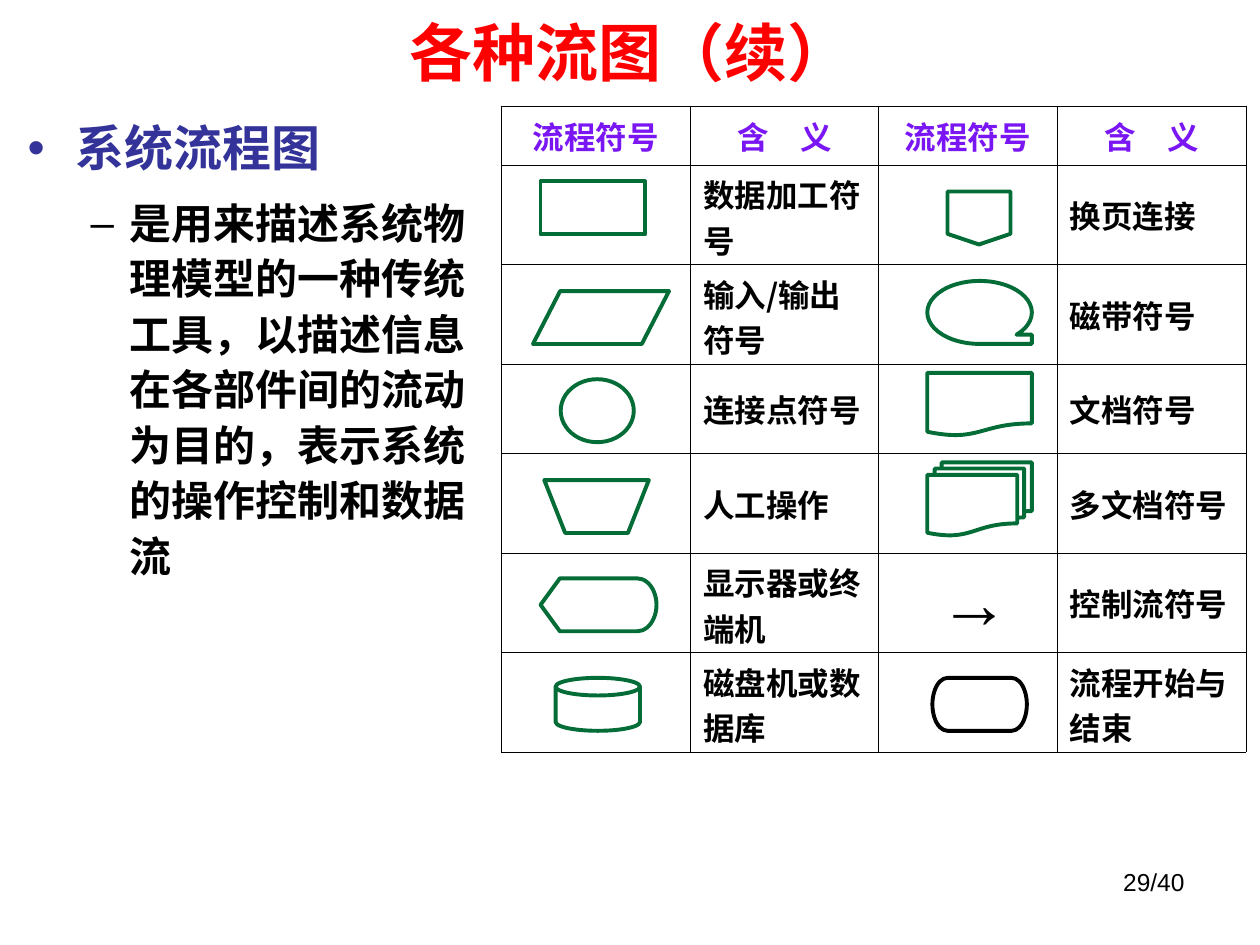
from dataclasses import dataclass

from lxml.etree import SubElement
from pptx import Presentation
from pptx.dml.color import RGBColor
from pptx.enum.shapes import MSO_SHAPE
from pptx.enum.text import MSO_ANCHOR, PP_ALIGN
from pptx.oxml.ns import qn
from pptx.util import Inches, Pt


@dataclass(frozen=True)
class Theme:
    latin: str = "Arial"
    cjk: str = "Noto Sans CJK SC"
    red: str = "FF0000"
    navy: str = "333399"
    violet: str = "7A16F4"
    green: str = "046C36"
    black: str = "000000"
    white: str = "FFFFFF"
    title: int = 36
    heading: int = 28
    body: int = 24
    table: int = 18
    arrow: int = 40
    footer: int = 14
    outline: float = 2.25
    border: float = 0.45


class SlideBuilder:
    def __init__(self, slide, theme):
        self.slide = slide
        self.theme = theme

    def span(self, para, text, size, color, bold=False, latin=None):
        run = para.add_run()
        run.text = text
        run.font.size = Pt(size)
        run.font.bold = bold
        run.font.name = latin or self.theme.latin
        run.font.color.rgb = RGBColor.from_string(color)
        east_asian = SubElement(run.font._element, qn("a:ea"))
        east_asian.set("typeface", self.theme.cjk)

    def frame(self, left, top, width, height, anchor=MSO_ANCHOR.TOP):
        box = self.slide.shapes.add_textbox(
            Inches(left), Inches(top), Inches(width), Inches(height))
        box.text_frame.word_wrap = True
        box.text_frame.vertical_anchor = anchor
        return box.text_frame

    def label(self, area, text, size, color, align=PP_ALIGN.LEFT,
              anchor=MSO_ANCHOR.TOP, bold=False):
        para = self.frame(*area, anchor).paragraphs[0]
        para.alignment = align
        self.span(para, text, size, color, bold)

    def bullet(self, para, text, mark, size, color, before, margin, indent):
        para.line_spacing = 1.1
        para.space_before = Pt(before)
        props = para._p.get_or_add_pPr()
        props.set("marL", str(Inches(margin)))
        props.set("indent", str(Inches(indent)))
        mark_color = SubElement(props, qn("a:buClr"))
        SubElement(mark_color, qn("a:srgbClr")).set("val", color)
        SubElement(props, qn("a:buFont")).set("typeface", self.theme.latin)
        SubElement(props, qn("a:buChar")).set("char", mark)
        self.span(para, text, size, color, bold=True)

    def borders(self, cell):
        props = cell._tc.get_or_add_tcPr()
        for side in ("lnL", "lnR", "lnT", "lnB"):
            line = SubElement(props, qn(f"a:{side}"))
            line.set("w", str(Pt(self.theme.border)))
            fill = SubElement(line, qn("a:solidFill"))
            SubElement(fill, qn("a:srgbClr")).set("val", self.theme.black)

    def table(self, left, top, widths, heights, rows):
        grid = self.slide.shapes.add_table(
            len(heights), len(widths), Inches(left), Inches(top),
            Inches(sum(widths)), Inches(sum(heights))).table
        grid.first_row = grid.horz_banding = False
        for column, width in zip(grid.columns, widths):
            column.width = Inches(width)
        for row, height in zip(grid.rows, heights):
            row.height = Inches(height)
        for row_index, texts in enumerate(rows):
            header = row_index == 0
            for column_index, text in enumerate(texts):
                cell = grid.cell(row_index, column_index)
                self.borders(cell)
                cell.fill.background()
                cell.vertical_anchor = MSO_ANCHOR.MIDDLE
                if not text:
                    continue
                para = cell.text_frame.paragraphs[0]
                para.space_before = Pt(4.5)
                para.alignment = PP_ALIGN.CENTER if header else PP_ALIGN.LEFT
                self.span(para, text, self.theme.table,
                          self.theme.violet if header else self.theme.black,
                          bold=True,
                          latin=self.theme.latin if header else self.theme.cjk)

    def symbol(self, kind, left, top, width, height, color):
        shape = self.slide.shapes.add_shape(
            kind, Inches(left), Inches(top), Inches(width), Inches(height))
        shape.shadow.inherit = False
        shape.fill.solid()
        shape.fill.fore_color.rgb = RGBColor.from_string(self.theme.white)
        shape.line.color.rgb = RGBColor.from_string(color)
        shape.line.width = Pt(self.theme.outline)


def main():
    theme = Theme()
    deck = Presentation()
    deck.slide_width, deck.slide_height = Inches(10), Inches(7.5)
    page = SlideBuilder(deck.slides.add_slide(deck.slide_layouts[6]), theme)

    # Page number and title
    page.label((7.17, 6.83, 2.33, 0.52), "29/40", theme.footer, theme.black,
               align=PP_ALIGN.RIGHT)
    page.label((0.5, 0.05, 9, 0.71), "各种流图（续）", theme.title, theme.red,
               align=PP_ALIGN.CENTER, anchor=MSO_ANCHOR.MIDDLE, bold=True)

    # Definition of the system flowchart
    body = page.frame(0.12, 0.84, 3.78, 5.51)
    page.bullet(body.paragraphs[0], "系统流程图", "•", theme.heading,
                theme.navy, 10.5, 0.38, -0.38)
    page.bullet(body.add_paragraph(),
                "是用来描述系统物理模型的一种传统工具，以描述信息在各部件间的流动"
                "为目的，表示系统的操作控制和数据流",
                "–", theme.body, theme.black, 9, 0.81, -0.31)

    # Table of symbols and meanings
    meanings = [
        ("数据加工符号", "换页连接"),
        ("输入/输出符号", "磁带符号"),
        ("连接点符号", "文档符号"),
        ("人工操作", "多文档符号"),
        ("显示器或终端机", "控制流符号"),
        ("磁盘机或数据库", "流程开始与结束"),
    ]
    rows = [("流程符号", "含　义") * 2]
    rows += [("", first, "", second) for first, second in meanings]
    page.table(3.98, 0.84, (1.5, 1.49, 1.42, 1.5),
               (0.47, 0.79, 0.79, 0.71, 0.79, 0.79, 0.79), rows)

    # Flowchart symbols over the table
    symbols = [
        (MSO_SHAPE.RECTANGLE, 4.29, 1.44, 0.83, 0.42),
        (MSO_SHAPE.FLOWCHART_DATA, 4.23, 2.31, 1.08, 0.42),
        (MSO_SHAPE.FLOWCHART_CONNECTOR, 4.45, 3.01, 0.58, 0.5),
        (MSO_SHAPE.FLOWCHART_MANUAL_OPERATION, 4.32, 3.81, 0.83, 0.42),
        (MSO_SHAPE.FLOWCHART_OFFPAGE_CONNECTOR, 7.52, 1.52, 0.5, 0.42),
        (MSO_SHAPE.FLOWCHART_SEQUENTIAL_ACCESS_STORAGE, 7.36, 2.23, 0.83, 0.5),
        (MSO_SHAPE.FLOWCHART_DOCUMENT, 7.36, 2.96, 0.83, 0.5),
        (MSO_SHAPE.FLOWCHART_MULTIDOCUMENT, 7.36, 3.67, 0.83, 0.58),
        (MSO_SHAPE.FLOWCHART_DISPLAY, 4.29, 4.59, 0.92, 0.42),
        (MSO_SHAPE.FLOWCHART_MAGNETIC_DISK, 4.41, 5.38, 0.67, 0.42),
    ]
    for kind, *area in symbols:
        page.symbol(kind, *area, theme.green)
    page.symbol(MSO_SHAPE.FLOWCHART_TERMINATOR, 7.4, 5.38, 0.75, 0.42,
                theme.black)
    page.label((7.36, 4.38, 0.87, 0.77), "→", theme.arrow, theme.black)

    deck.save("out.pptx")


if __name__ == "__main__":
    main()
